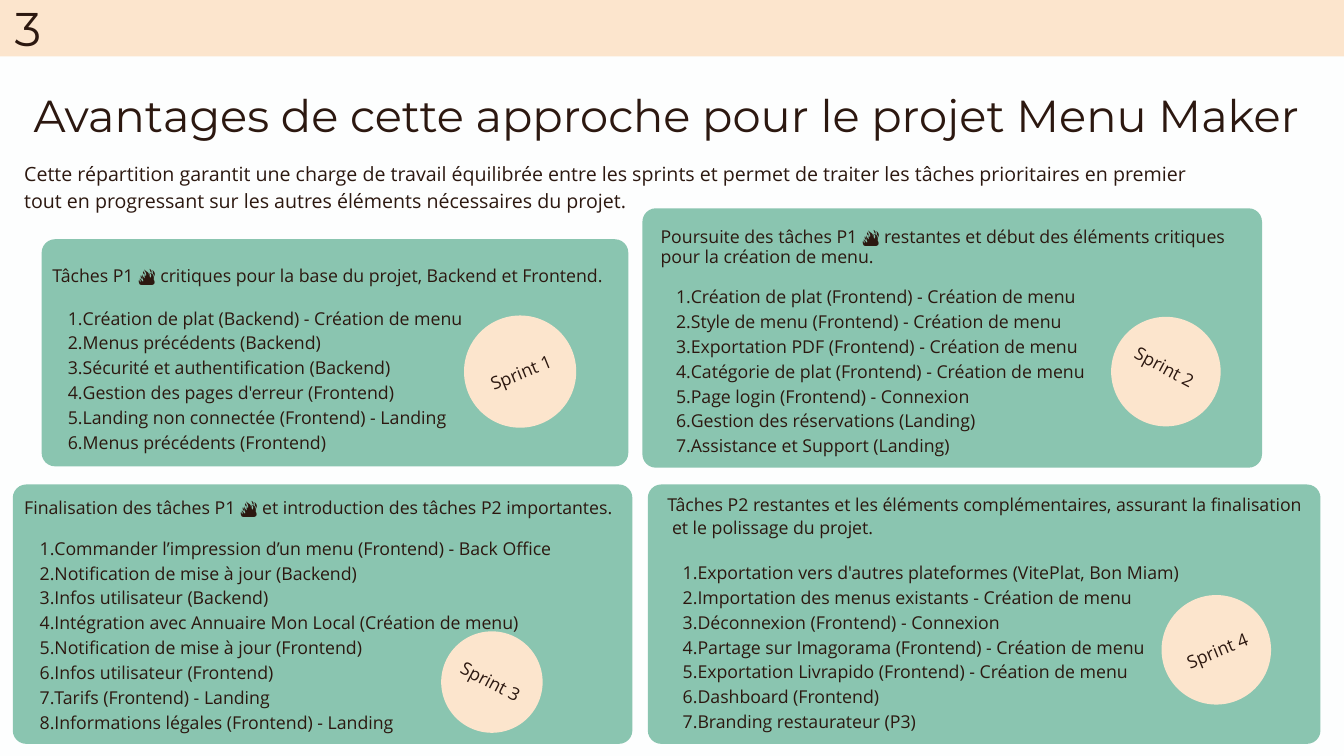
from dataclasses import dataclass

from lxml import etree
from pptx import Presentation
from pptx import util as u
from pptx.dml.color import RGBColor
from pptx.enum import shapes, text
from pptx.oxml import ns


@dataclass(frozen=True)
class Theme:
    paper: str = "FDFEFE"
    cream: str = "FCE5CD"
    green: str = "8AC5B0"
    ink: str = "2C1810"
    display: str = "Montserrat"
    body: str = "Open Sans"
    title_size: float = 48
    number_size: float = 50.6
    intro_size: float = 21
    list_size: float = 19
    list_leading: float = 26.6


theme = Theme()
COLUMNS, ROWS = 20, 11.25

deck = Presentation()
deck.slide_width, deck.slide_height = u.Inches(20), u.Inches(11.25)
slide = deck.slides.add_slide(deck.slide_layouts.get_by_name("Comparison"))
slide.background.fill.solid()
slide.background.fill.fore_color.rgb = RGBColor.from_string(theme.paper)


def draw(preset, color, column, row, columns, rows):
    """Add a plain filled shape, placed in grid columns and rows."""
    cell = deck.slide_width / COLUMNS
    shape = slide.shapes.add_shape(
        preset, *(u.Emu(round(n * cell)) for n in (column, row, columns, rows)))
    shape.shadow.inherit = False
    shape.fill.solid()
    shape.fill.fore_color.rgb = RGBColor.from_string(color)
    shape.line.fill.background()
    return shape


def write(box, area, lines, size, leading, font=theme.body, align=text.PP_ALIGN.LEFT):
    """Place a text holder in front of the rest and fill it with unnumbered lines."""
    cell = deck.slide_width / COLUMNS
    box.left, box.top, box.width, box.height = (u.Emu(round(n * cell)) for n in area)
    slide.shapes._spTree.append(box._element)
    frame = box.text_frame
    frame.text = "\n".join(lines)
    frame.word_wrap = True
    frame.auto_size = text.MSO_AUTO_SIZE.NONE
    frame.vertical_anchor = text.MSO_ANCHOR.TOP
    frame.margin_left = frame.margin_right = frame.margin_top = frame.margin_bottom = 0
    for paragraph in frame.paragraphs:
        properties = paragraph._p.get_or_add_pPr()
        properties.set("marL", "0")
        properties.set("indent", "0")
        etree.SubElement(properties, ns.qn("a:buNone"))
        paragraph.alignment = align
        paragraph.line_spacing = u.Pt(leading)
        paragraph.space_before = paragraph.space_after = u.Pt(0)
        for run in paragraph.runs:
            run.font.name, run.font.size, run.font.bold = font, u.Pt(size), False
            run.font.color.rgb = RGBColor.from_string(theme.ink)
    return frame


# Header band, slide number, title and introduction
draw(shapes.MSO_SHAPE.RECTANGLE, theme.cream, 0, 0, COLUMNS, 0.84)
write(slide.shapes.add_textbox(0, 0, 0, 0), (0, 0.06, 0.83, 0.77), ["3"],
      theme.number_size, 55.7, theme.display, text.PP_ALIGN.CENTER)
write(slide.shapes.title, (0, 1.37, 19.83, 0.9),
      ["Avantages de cette approche pour le projet Menu Maker"],
      theme.title_size, 52.8, theme.display, text.PP_ALIGN.CENTER)
write(slide.shapes.add_textbox(0, 0, 0, 0), (0.36, 2.35, 17.75, 0.8),
      ["Cette répartition garantit une charge de travail équilibrée entre les sprints et "
       "permet de traiter les tâches prioritaires en premier tout en progressant sur les "
       "autres éléments nécessaires du projet."],
      theme.intro_size, 29.4)

# Per sprint: card area, list area, intro leading, intro lines, tasks,
# badge (centre column, centre row, diameter, tilt, label lift)
sprints = [
    ((0.62, 3.56, 8.73, 3.38), (0.78, 3.94, 8.34, 2.73), 22.8,
     ["Tâches P1 🔥 critiques pour la base du projet, Backend et Frontend."],
     ["Création de plat (Backend) - Création de menu",
      "Menus précédents (Backend)",
      "Sécurité et authentification (Backend)",
      "Gestion des pages d'erreur (Frontend)",
      "Landing non connectée (Frontend) - Landing",
      "Menus précédents (Frontend)"],
     (7.74, 5.53, 1.67, -22.1, 0.02)),
    ((9.56, 3.1, 9.22, 3.86), (9.83, 3.38, 8.81, 3.33), 21.5,
     ["Poursuite des tâches P1 🔥 restantes et début des éléments critiques "
      "pour la création de menu."],
     ["Création de plat (Frontend) - Création de menu",
      "Style de menu (Frontend) - Création de menu",
      "Exportation PDF (Frontend) - Création de menu",
      "Catégorie de plat (Frontend) - Création de menu",
      "Page login (Frontend) - Connexion",
      "Gestion des réservations (Landing)",
      "Assistance et Support (Landing)"],
     (17.35, 5.53, 1.63, 28.2, 0.1)),
    ((0.19, 7.21, 9.22, 3.86), (0.36, 7.4, 8.88, 3.44), 22,
     ["Finalisation des tâches P1 🔥 et introduction des tâches P2 importantes."],
     ["Commander l’impression d’un menu (Frontend) - Back Office",
      "Notification de mise à jour (Backend)",
      "Infos utilisateur (Backend)",
      "Intégration avec Annuaire Mon Local (Création de menu)",
      "Notification de mise à jour (Frontend)",
      "Infos utilisateur (Frontend)",
      "Tarifs (Frontend) - Landing",
      "Informations légales (Frontend) - Landing"],
     (7.32, 10.15, 1.51, 27.8, 0.04)),
    ((9.64, 7.21, 10.01, 3.86), (9.93, 7.33, 9.94, 3.5), 24.3,
     ["Tâches P2 restantes et les éléments complémentaires, assurant la finalisation",
      "et le polissage du projet."],
     ["Exportation vers d'autres plateformes (VitePlat, Bon Miam)",
      "Importation des menus existants - Création de menu",
      "Déconnexion (Frontend) - Connexion",
      "Partage sur Imagorama (Frontend) - Création de menu",
      "Exportation Livrapido (Frontend) - Création de menu",
      "Dashboard (Frontend)",
      "Branding restaurateur (P3)"],
     (18.1, 9.67, 1.63, -22.1, 0.02)),
]

for number, (card_area, list_area, leading, intro, tasks, badge) in enumerate(sprints, 1):
    card = draw(shapes.MSO_SHAPE.ROUNDED_RECTANGLE, theme.green, *card_area)
    card.adjustments[0] = 0.2 / card_area[3]
    column, row, diameter, tilt, lift = badge
    draw(shapes.MSO_SHAPE.OVAL, theme.cream,
         column - diameter / 2, row - diameter / 2, diameter, diameter)

    frame = write(slide.placeholders[number], list_area, intro + tasks,
                  theme.list_size, leading)
    for paragraph in frame.paragraphs[1:len(intro)]:
        paragraph._p.pPr.set("marL", str(u.Inches(0.07)))
    task_lines = frame.paragraphs[len(intro):]
    for paragraph in task_lines:
        paragraph.level = 1
        properties = paragraph._p.pPr
        properties.set("marL", str(u.Inches(0.45)))
        properties.set("indent", str(u.Inches(-0.22)))
        properties.remove(properties.find(ns.qn("a:buNone")))
        etree.SubElement(properties, ns.qn("a:buFont"), typeface=theme.body)
        etree.SubElement(properties, ns.qn("a:buAutoNum"), type="arabicPeriod")
        paragraph.line_spacing = u.Pt(theme.list_leading)
    task_lines[0].line_spacing = task_lines[0].space_before = u.Pt(leading)

    label = slide.shapes.add_textbox(0, 0, 0, 0)
    write(label, (column - 0.5, row - lift - 0.18, 1, 0.35), [f"Sprint {number}"],
          theme.list_size, theme.list_leading, align=text.PP_ALIGN.CENTER)
    label.text_frame.word_wrap = False
    label.rotation = tilt

deck.save("out.pptx")
